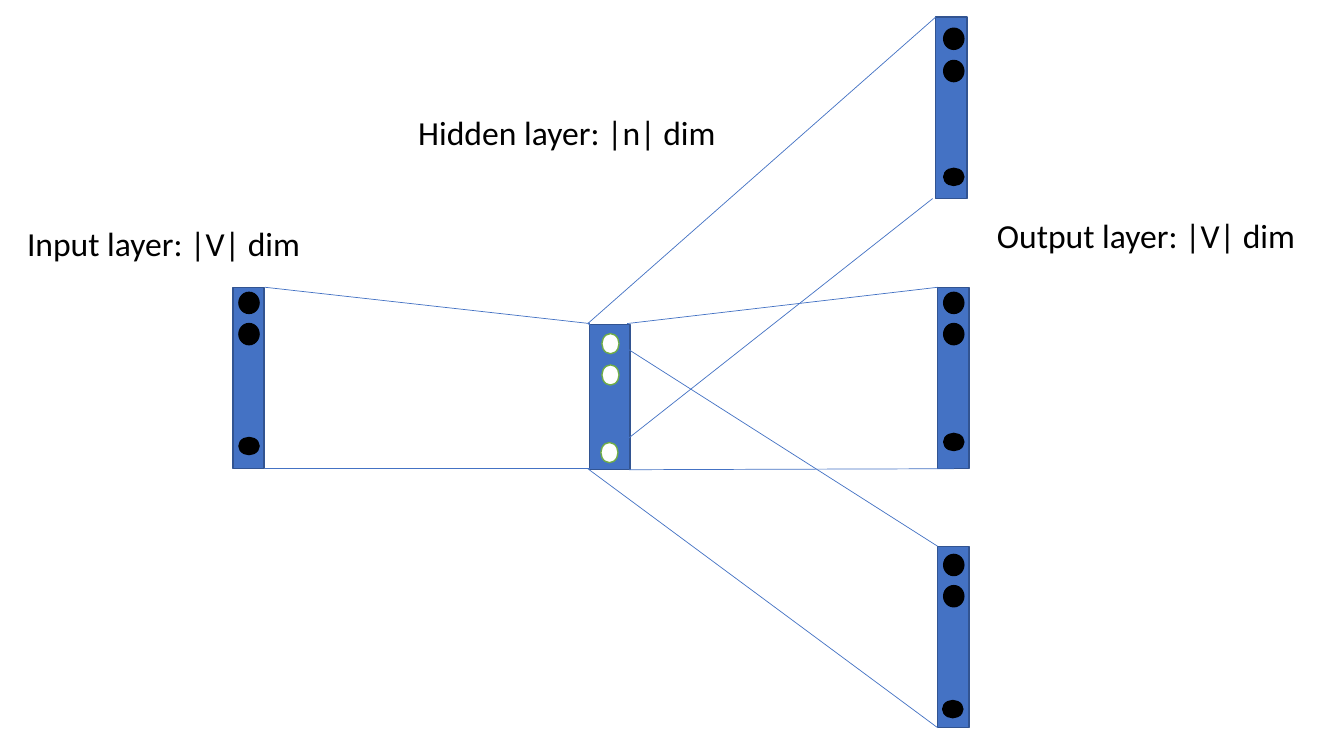
from lxml.etree import SubElement
from pptx import Presentation
from pptx.dml.color import RGBColor as Rgb
from pptx.enum.shapes import MSO_CONNECTOR as Conn, MSO_SHAPE as Kind
from pptx.enum.text import MSO_AUTO_SIZE as Fit
from pptx.oxml.ns import qn
from pptx.util import Inches, Pt

HUES = {"bar": "4472C4", "edge": "325491", "black": "000000",
        "white": "FFFFFF", "green": "70AD47"}
BAR_W, BAR_H = 0.31, 1.8
HIDE_X, HIDE_Y, HIDE_W, HIDE_H = 5.85, 3.22, 0.4, 1.44
IN_X, MID_Y = 2.31, 2.85
OUT_X, LOW_Y = 9.3, 5.42
TOP_X, TOP_Y = 9.28, 0.17

BARS = [
    (TOP_X, TOP_Y, BAR_W, BAR_H),
    (OUT_X, MID_Y, BAR_W, BAR_H),
    (OUT_X, LOW_Y, BAR_W, BAR_H),
    (IN_X, MID_Y, BAR_W, BAR_H),
    (HIDE_X, HIDE_Y, HIDE_W, HIDE_H),
]
LINKS = [
    (9.25, 1.97, 5.85, 4.65),
    (TOP_X, TOP_Y, 5.83, 3.21),
    (2.63, MID_Y, 5.85, 3.21),
    (2.63, 4.65, 5.85, 4.65),
    (OUT_X, LOW_Y, 5.83, 3.21),
    (OUT_X, LOW_Y + BAR_H, 5.83, 4.65),
    (6.22, 3.21, OUT_X, MID_Y),
    (6.24, 4.66, 9.46, 4.65),
]
BLACK_SIZES = [(0.2, 0.21), (0.2, 0.21), (0.2, 0.17)]
WHITE_SIZES = [(0.17, 0.2)] * 3
NODES = [
    ([(9.36, 0.28), (9.36, 0.6), (9.36, 1.67)], BLACK_SIZES, "black", "black"),
    ([(9.36, 2.9), (9.36, 3.21), (9.36, 4.3)], BLACK_SIZES, "black", "black"),
    ([(9.36, 5.5), (9.36, 5.81), (9.35, 6.95)], BLACK_SIZES, "black", "black"),
    ([(2.37, 2.9), (2.37, 3.21), (2.37, 4.34)], BLACK_SIZES, "black", "black"),
    ([(5.97, 3.31), (5.97, 3.62), (5.96, 4.39)], WHITE_SIZES, "white", "green"),
]
LABELS = [
    ("Input layer: |V| dim", (0.17, 2.16, 3.06, 0.5)),
    ("Hidden layer: |n| dim", (4.05, 1.06, 3.33, 0.5)),
    ("Output layer: |V| dim", (9.79, 2.08, 3.47, 0.5)),
]


def hue(name):
    """Return the named colour."""
    return Rgb.from_string(HUES[name])


def add_form(slide, kind, box, fill, edge):
    """Draw a filled and outlined shape."""
    form = slide.shapes.add_shape(kind, *map(Inches, box))
    form.shadow.inherit = False
    form.fill.solid()
    form.fill.fore_color.rgb = hue(fill)
    form.line.color.rgb = hue(edge)
    form.line.width = Pt(1)


def add_link(slide, ends):
    """Draw a thin line between two points."""
    link = slide.shapes.add_connector(Conn.STRAIGHT, *map(Inches, ends))
    link.line.color.rgb = hue("bar")
    link.line.width = Pt(0.5)
    SubElement(link._element.spPr, qn("a:effectLst"))


def add_text(slide, text, box, size=24, font="Calibri", color="black"):
    """Place a line of text."""
    area = slide.shapes.add_textbox(*map(Inches, box))
    frame = area.text_frame
    frame.word_wrap = True
    frame.auto_size = Fit.SHAPE_TO_FIT_TEXT
    run = frame.paragraphs[0].add_run()
    run.text = text
    run.font.size = Pt(size)
    run.font.name = font
    run.font.color.rgb = hue(color)


def main():
    """Build the network slide and save it."""
    deck = Presentation()
    deck.slide_width, deck.slide_height = Inches(13.33), Inches(7.5)
    slide = deck.slides.add_slide(deck.slide_layouts[6])
    for bar in BARS:
        add_form(slide, Kind.RECTANGLE, bar, "bar", "edge")
    for ends in LINKS:
        add_link(slide, ends)
    for spots, sizes, fill, edge in NODES:
        for spot, size in zip(spots, sizes):
            add_form(slide, Kind.OVAL, spot + size, fill, edge)
    for text, box in LABELS:
        add_text(slide, text, box)
    deck.save("out.pptx")


if __name__ == "__main__":
    main()
